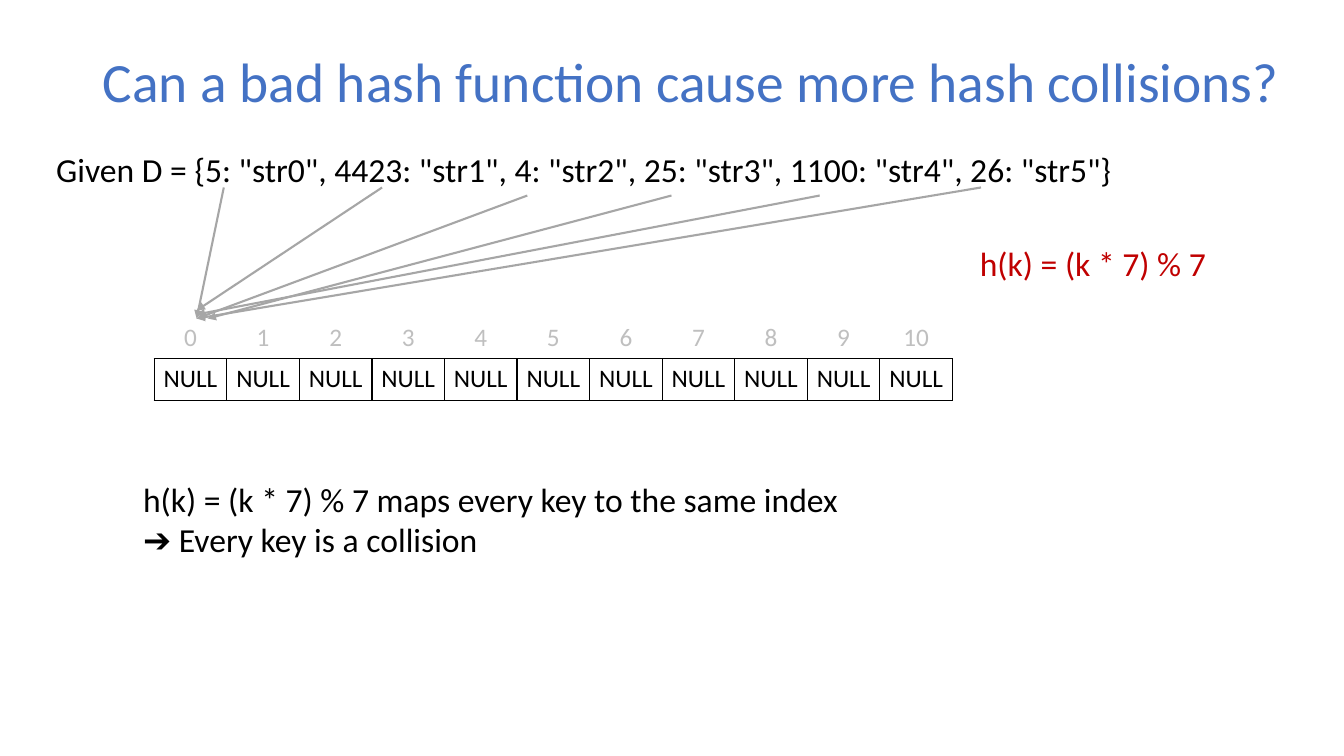
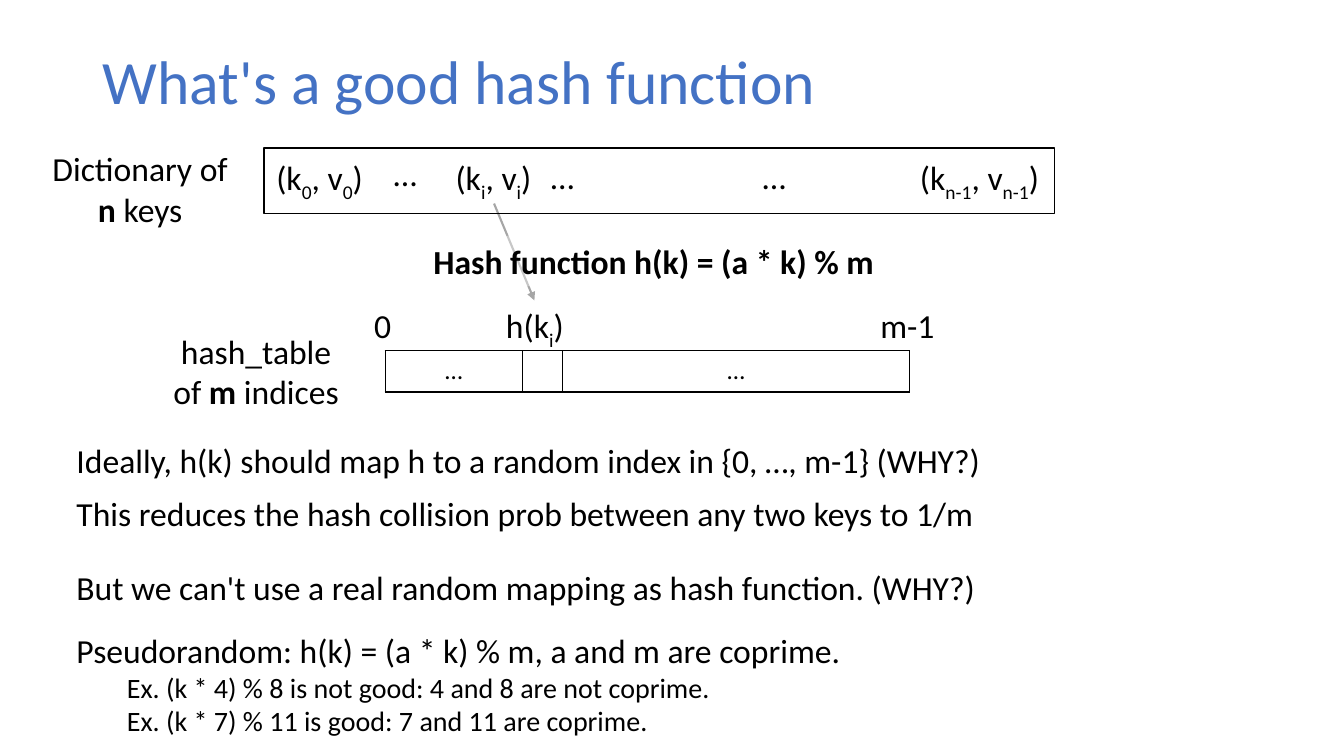
from lxml import etree
from pptx import Presentation
from pptx.dml.color import RGBColor
from pptx.enum.shapes import MSO_CONNECTOR as Connector, MSO_SHAPE as Shape
from pptx.enum.text import MSO_ANCHOR as Anchor, MSO_AUTO_SIZE as AutoSize, PP_ALIGN as Align
from pptx.oxml.ns import qn
from pptx.util import Pt

PX = 9144
FONT = "Calibri"
COLORS = {
    "title": "4472C4",
    "text": "000000",
    "formula": "C00000",
    "arrow": "A6A6A6",
    "index": "BFBFBF",
    "band": "FFFFFF",
}
RGB = {name: RGBColor.from_string(value) for name, value in COLORS.items()}


def add_text(shape, parts, size=24, color="text", align=Align.LEFT, wrap=True, spacing=None):
    frame = shape.text_frame
    frame.word_wrap = wrap
    frame.vertical_anchor = Anchor.TOP
    paragraph = frame.paragraphs[0]
    paragraph.alignment = align
    paragraph.line_spacing = spacing
    for text, style in parts:
        if style == "break":
            paragraph.add_line_break()
            continue
        run = paragraph.add_run()
        run.text = text
        run.font.name = FONT
        run.font.size = Pt(size)
        run.font.color.rgb = RGB[color]
        if style == "bold":
            run.font.bold = True
        if style == "sub":
            run._r.get_or_add_rPr().set("baseline", "-25000")
    return frame


def add_row(slide, left, top, widths, labels, color, bordered):
    height = 41
    frame = slide.shapes.add_table(
        1, len(widths), left * PX, top * PX, sum(widths) * PX, height * PX
    )
    table = frame.table
    table.first_row = False
    table.horz_banding = False
    table.rows[0].height = height * PX
    for column, (width, label) in enumerate(zip(widths, labels)):
        table.columns[column].width = width * PX
        cell = table.cell(0, column)
        cell.margin_left = cell.margin_right = 0
        cell.text = label
        paragraph = cell.text_frame.paragraphs[0]
        paragraph.alignment = Align.CENTER
        paragraph.font.size = Pt(18)
        for run in paragraph.runs:
            run.font.name = FONT
            run.font.size = Pt(18)
            run.font.color.rgb = RGB[color]
        properties = cell._tc.get_or_add_tcPr()
        for side in ("lnL", "lnR", "lnT", "lnB"):
            border = etree.SubElement(properties, qn(f"a:{side}"), w="12700")
            if bordered:
                fill = etree.SubElement(border, qn("a:solidFill"))
                etree.SubElement(fill, qn("a:srgbClr"), val=COLORS["text"])
            else:
                etree.SubElement(border, qn("a:noFill"))
        cell.fill.background()


presentation = Presentation()
presentation.slide_width = 1333 * PX
presentation.slide_height = 750 * PX

slides = []
for heading, size, width in (
    ("Can a bad hash function cause more hash collisions?", 39.6, 1232),
    ("What's a good hash function", 44, 1150),
):
    slide = presentation.slides.add_slide(presentation.slide_layouts[5])
    title = slide.shapes.title
    title.left, title.top, title.width, title.height = 92 * PX, 40 * PX, width * PX, 87 * PX
    title.text_frame.text = heading
    title.text_frame.auto_size = AutoSize.NONE
    title.text_frame.vertical_anchor = Anchor.MIDDLE
    paragraph = title.text_frame.paragraphs[0]
    paragraph.alignment = Align.LEFT
    paragraph.line_spacing = 0.9
    font = paragraph.runs[0].font
    font.name, font.size, font.color.rgb = FONT, Pt(size), RGB["title"]
    slides.append(slide)
bad_hash, good_hash = slides

slots = 11
slot_widths = [72] * slots
add_row(bad_hash, 153, 315, slot_widths, [str(slot) for slot in range(slots)], "index", False)
add_row(bad_hash, 153, 356, slot_widths, ["NULL"] * slots, "text", True)
add_row(good_hash, 382, 348, [136, 40, 344], ["…", "", "…"], "text", True)

for slide, start_x, start_y, end_x, end_y in (
    (bad_hash, 222, 186, 195, 316),
    (bad_hash, 379, 186, 195, 308),
    (bad_hash, 523, 194, 195, 316),
    (bad_hash, 666, 194, 206, 316),
    (bad_hash, 813, 194, 195, 312),
    (bad_hash, 973, 186, 195, 316),
    (good_hash, 490, 202, 530, 298),
):
    arrow = slide.shapes.add_connector(
        Connector.STRAIGHT, start_x * PX, start_y * PX, end_x * PX, end_y * PX
    )
    arrow.line.color.rgb = RGB["arrow"]
    arrow.line.width = Pt(1.5)
    etree.SubElement(arrow.line._get_or_add_ln(), qn("a:tailEnd"), type="triangle")
    etree.SubElement(arrow._element.spPr, qn("a:effectLst"))

given = 'Given D = {5: "str0", 4423: "str1", 4: "str2", 25: "str3", 1100: "str4", 26: "str5"}'
outcome = "h(k) = (k * 7) % 7 maps every key to the same index ➔ Every key is a collision"
for left, top, width, height, text, color, spacing in (
    (46, 147, 1117, 54, given, "text", 0.9),
    (962, 236, 263, 50, "h(k) = (k * 7) % 7", "formula", None),
    (132, 470, 721, 91, outcome, "text", None),
):
    box = bad_hash.shapes.add_textbox(left * PX, top * PX, width * PX, height * PX)
    add_text(box, [(text, "")], color=color, spacing=spacing)

dictionary = good_hash.shapes.add_shape(Shape.RECTANGLE, 262 * PX, 147 * PX, 784 * PX, 65 * PX)
dictionary.shadow.inherit = False
dictionary.fill.background()
dictionary.line.color.rgb = RGB["text"]
dictionary.line.width = Pt(1)

for left, width, key in ((262, 110, "0"), (441, 97, "i"), (898, 147, "n-1")):
    box = good_hash.shapes.add_textbox(left * PX, 151 * PX, width * PX, 50 * PX)
    pair = [("(k", ""), (key, "sub"), (", v", ""), (key, "sub"), (")", "")]
    add_text(box, pair, align=Align.CENTER, wrap=False)

for left, top, width, parts in (
    (380, 147, 44, [("…", "")]),
    (536, 150, 44, [("…", "")]),
    (746, 150, 44, [("…", "")]),
    (361, 298, 37, [("0", "")]),
    (491, 298, 79, [("h(k", ""), ("i", "sub"), (")", "")]),
    (863, 298, 74, [("m-1", "")]),
):
    box = good_hash.shapes.add_textbox(left * PX, top * PX, width * PX, 50 * PX)
    add_text(box, parts, align=Align.CENTER, wrap=False)

for left, top, parts in (
    (38, 142, [("Dictionary of ", ""), ("n ", "bold"), ("keys", "")]),
    (153, 323, [("hash_table", ""), ("", "break"), ("of ", ""), ("m", "bold"), (" indices", "")]),
):
    box = good_hash.shapes.add_textbox(left * PX, top * PX, 202 * PX, 91 * PX)
    add_text(box, parts, align=Align.CENTER)

formula = good_hash.shapes.add_shape(Shape.RECTANGLE, 420 * PX, 234 * PX, 461 * PX, 50 * PX)
formula.shadow.inherit = False
formula.line.fill.background()
formula.fill.solid()
formula.fill.fore_color.rgb = RGB["band"]
band_color = formula._element.spPr.find(qn("a:solidFill")).find(qn("a:srgbClr"))
etree.SubElement(band_color, qn("a:alpha"), val="38000")
add_text(formula, [("Hash function h(k) = (a * k) % m", "bold")], wrap=False)

for top, height, text in (
    (432, 50, "Ideally, h(k) should map h to a random index in {0, …, m-1} (WHY?)"),
    (484, 50, "This reduces the hash collision prob between any two keys to 1/m"),
    (558, 50, "But we can't use a real random mapping as hash function. (WHY?)"),
    (620, 118, "Pseudorandom: h(k) = (a * k) % m, a and m are coprime."),
):
    box = good_hash.shapes.add_textbox(66 * PX, top * PX, 961 * PX, height * PX)
    statement = add_text(box, [(text, "")])

for example in (
    "Ex. (k * 4) % 8 is not good: 4 and 8 are not coprime.",
    "Ex. (k * 7) % 11 is good: 7 and 11 are coprime.",
):
    paragraph = statement.add_paragraph()
    paragraph.text = example
    paragraph.level = 1
    paragraph._p.get_or_add_pPr().set("marL", str(50 * PX))
    font = paragraph.runs[0].font
    font.name, font.size, font.color.rgb = FONT, Pt(20), RGB["text"]

presentation.save("out.pptx")
